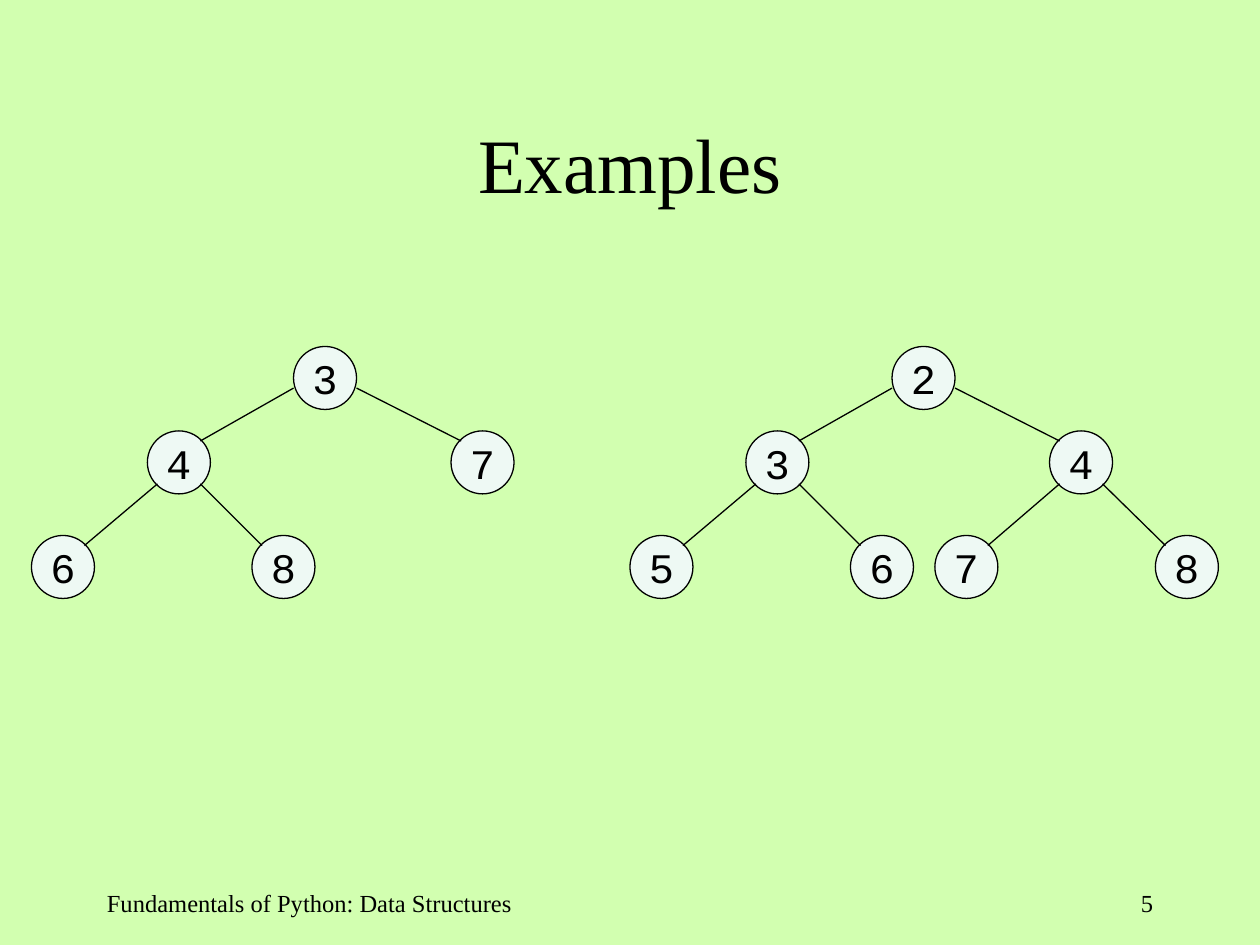
from dataclasses import dataclass

from lxml import etree
from pptx import Presentation
from pptx import util as u
from pptx.dml.color import RGBColor
from pptx.enum import shapes, text
from pptx.oxml import ns

BACKGROUND = RGBColor(0xD2, 0xFF, 0xB0)
NODE_FILL = RGBColor(0xEE, 0xF9, 0xF4)
BLACK = RGBColor(0, 0, 0)

SERIF = {"name": "Times New Roman", "bold": False}
TITLE_FONT = {**SERIF, "size": u.Pt(44)}
FOOTER_FONT = {**SERIF, "size": u.Pt(14)}
NODE_FONT = {"name": "Courier New", "size": u.Pt(24)}

NODE_SIZE = 0.5
TOP = 2.75
NEAR, FAR = 0.08, 0.42  # where edges touch a node, from its left or top
# Node offsets from the tree's left and top, in heap order
SLOTS = [(2.08, 0), (0.92, 0.67), (3.33, 0.67),
         (0, 1.5), (1.75, 1.5), (2.42, 1.5), (4.17, 1.5)]


@dataclass
class Tree:
    left: float
    values: list[int]  # heap order: the parent of i is (i - 1) // 2


@dataclass
class Footer:
    words: str
    left: float
    width: float
    align: text.PP_ALIGN


TREES = [Tree(5, [2, 3, 4, 5, 6, 7, 8]), Tree(0.25, [3, 4, 7, 6, 8])]
FOOTERS = [
    Footer("Fundamentals of Python: Data Structures", 0.75, 3.83, text.PP_ALIGN.LEFT),
    Footer("5", 7.17, 2.08, text.PP_ALIGN.RIGHT),
]


def write(tf, words: str, font: dict, align) -> None:
    tf.text = words
    p = tf.paragraphs[0]
    p.alignment = align
    for r in p.runs:
        for name, value in font.items():
            setattr(r.font, name, value)
        r.font.color.rgb = BLACK


def set_line(sp) -> None:
    sp.line.color.rgb = BLACK
    sp.line.width = u.Pt(0.75)


def draw_node(s, x: float, y: float, value: int) -> None:
    sp = s.shapes.add_shape(shapes.MSO_SHAPE.OVAL, u.Inches(x), u.Inches(y),
                            u.Inches(NODE_SIZE), u.Inches(NODE_SIZE))
    sp.shadow.inherit = False
    sp.fill.solid()
    sp.fill.fore_color.rgb = NODE_FILL
    set_line(sp)
    tf = sp.text_frame
    tf.word_wrap = False
    tf.vertical_anchor = text.MSO_ANCHOR.MIDDLE
    write(tf, str(value), NODE_FONT, text.PP_ALIGN.CENTER)


def draw_edge(s, x1: float, y1: float, x2: float, y2: float) -> None:
    line = s.shapes.add_connector(shapes.MSO_CONNECTOR.STRAIGHT, u.Inches(x1),
                                  u.Inches(y1), u.Inches(x2), u.Inches(y2))
    set_line(line)
    etree.SubElement(line._element.spPr, ns.qn("a:effectLst"))


def draw_tree(s, tree: Tree) -> None:
    places = [(tree.left + dx, TOP + dy) for dx, dy in SLOTS]
    for i, value in enumerate(tree.values):
        x, y = places[i]
        draw_node(s, x, y, value)
        if i == 0:
            continue
        parent = (i - 1) // 2
        px, py = places[parent]
        is_left = i % 2 == 1
        # The root's edges leave from its sides, the others from below
        if parent == 0:
            start_x, start_y = (0 if is_left else NODE_SIZE), 0.33
        else:
            start_x, start_y = (NEAR if is_left else FAR), FAR
        draw_edge(s, px + start_x, py + start_y,
                  x + (FAR if is_left else NEAR), y + NEAR)


def draw_footer(s, footer: Footer) -> None:
    box = s.shapes.add_textbox(u.Inches(footer.left), u.Inches(7),
                               u.Inches(footer.width), u.Inches(0.5))
    box.text_frame.word_wrap = True
    write(box.text_frame, footer.words, FOOTER_FONT, footer.align)


def main() -> None:
    prs = Presentation()
    prs.slide_width, prs.slide_height = u.Inches(10), u.Inches(7.5)
    s = prs.slides.add_slide(prs.slide_layouts[5])
    s.background.fill.solid()
    s.background.fill.fore_color.rgb = BACKGROUND

    # Title
    title = s.shapes.title
    title.left, title.top = u.Inches(0.75), u.Inches(0.67)
    title.width, title.height = u.Inches(8.5), u.Inches(1.25)
    title.text_frame.vertical_anchor = text.MSO_ANCHOR.MIDDLE
    write(title.text_frame, "Examples", TITLE_FONT, text.PP_ALIGN.CENTER)

    # Heaps
    for tree in TREES:
        draw_tree(s, tree)

    # Footer and page number
    for footer in FOOTERS:
        draw_footer(s, footer)

    prs.save("out.pptx")


if __name__ == "__main__":
    main()
